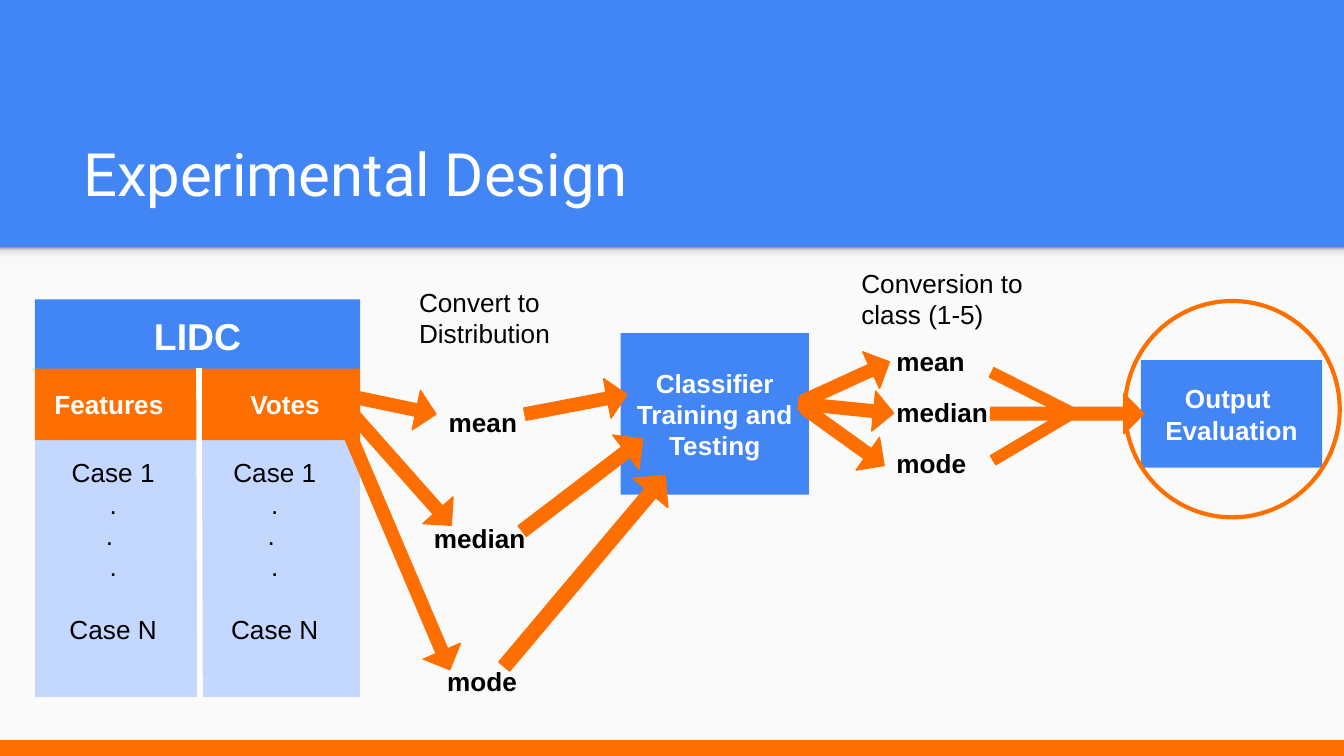
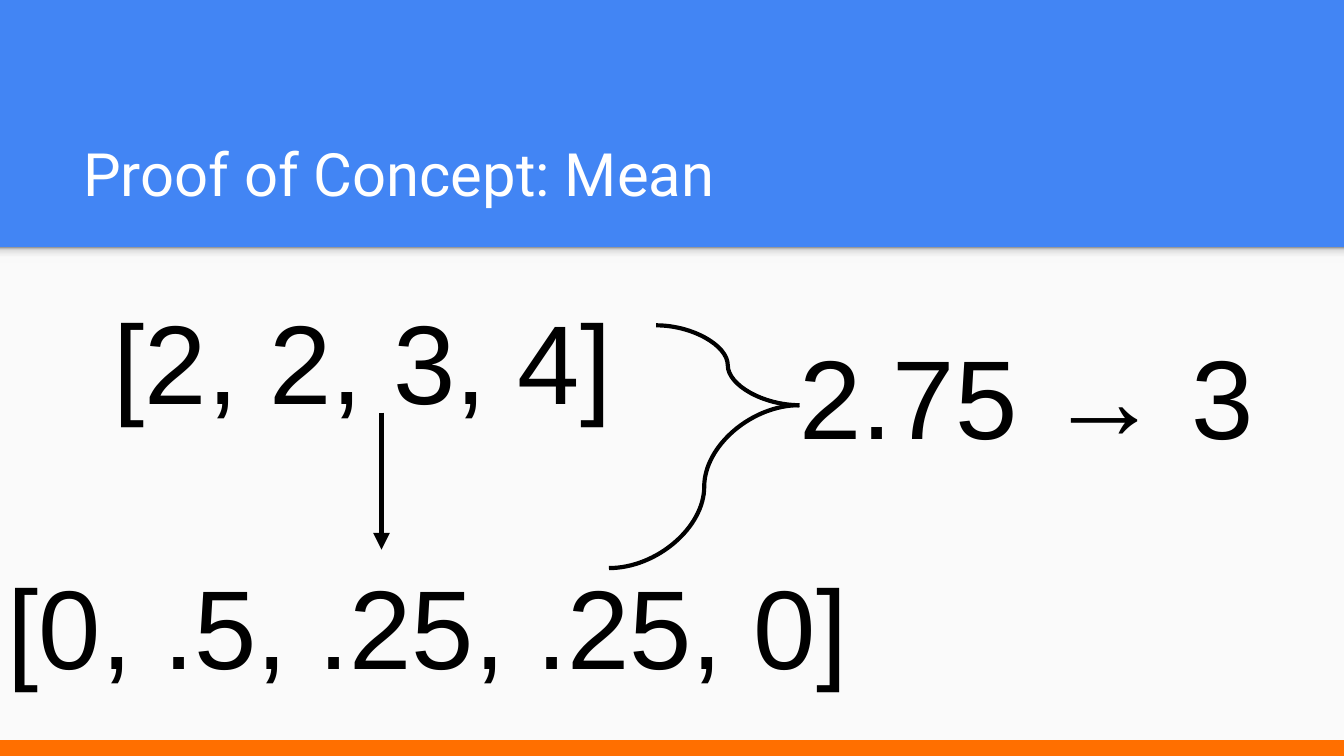
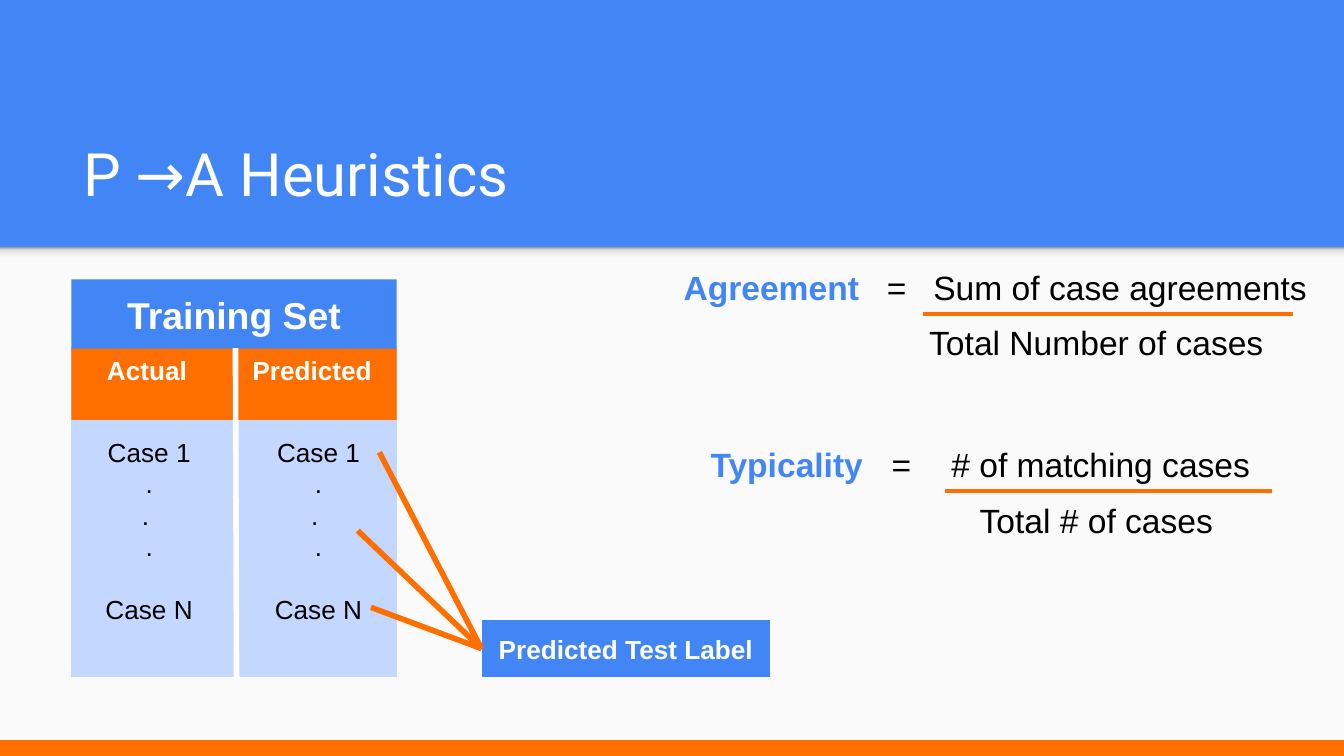
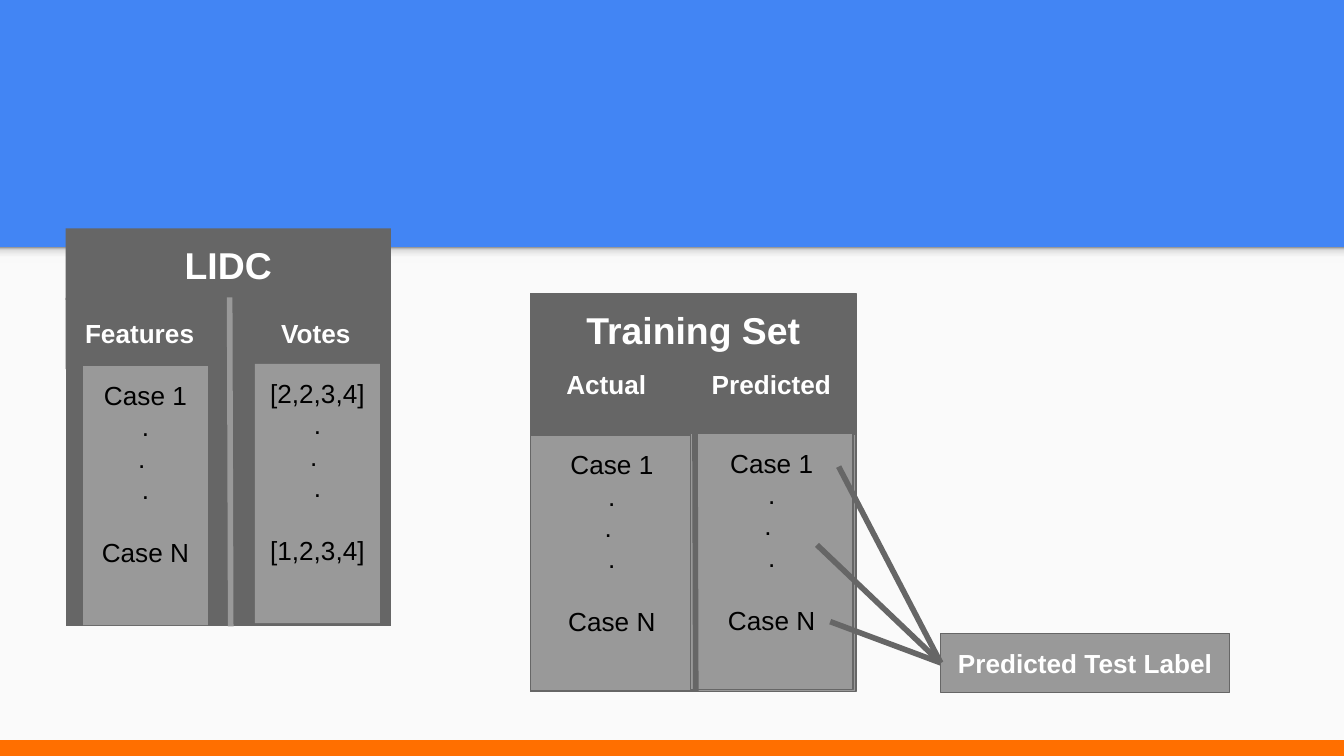
import math
from dataclasses import dataclass

from lxml import etree
from pptx import Presentation
from pptx import util as u
from pptx.dml import color
from pptx.enum import shapes, text
from pptx.oxml import ns

COLORS = {
    "blue": "4285F4",
    "pale_blue": "C4D7FF",
    "orange": "FF6F00",
    "paper": "FAFAFA",
    "white": "FFFFFF",
    "black": "000000",
    "dark_gray": "666666",
    "gray": "999999",
}
SHADOW_STOPS = [(0, "F9F9F9"), (36, "F9F9F9"), (80, "DEDEDE"), (100, "999999")]
SLIDE_WIDTH, SLIDE_HEIGHT = 25.4, 14.29
INSET = 0.25
TITLE_ONLY, BLANK = 5, 6
RECTANGLE = shapes.MSO_SHAPE.RECTANGLE
LEFT, CENTER = text.PP_ALIGN.LEFT, text.PP_ALIGN.CENTER
TOP, MIDDLE, BOTTOM = text.MSO_ANCHOR.TOP, text.MSO_ANCHOR.MIDDLE, text.MSO_ANCHOR.BOTTOM

COLOR_PANEL = {"title": "blue", "header": "orange", "body": "pale_blue",
               "column": None, "divider": "white", "outline": None}
GRAY_PANEL = {"title": "dark_gray", "header": "dark_gray", "body": "dark_gray",
              "column": "gray", "divider": "gray", "outline": None}
OUTLINED_PANEL = {"title": "dark_gray", "header": "dark_gray", "body": "gray",
                  "column": "gray", "divider": "dark_gray", "outline": "dark_gray"}
VOTE_TABS = (1.4, 4.73)
PREDICTION_TABS = (1.43, 4.55)


def rgb(name):
    return color.RGBColor.from_string(COLORS[name])


def paint(shape, fill, outline, weight):
    shape.shadow.inherit = False
    if fill:
        shape.fill.solid()
        shape.fill.fore_color.rgb = rgb(fill)
    else:
        shape.fill.background()
    if outline:
        shape.line.color.rgb = rgb(outline)
        shape.line.width = u.Pt(weight)
    else:
        shape.line.fill.background()


def set_frame(frame, anchor):
    frame.word_wrap = True
    frame.auto_size = text.MSO_AUTO_SIZE.NONE
    frame.vertical_anchor = anchor
    frame.margin_left = frame.margin_right = u.Cm(INSET)
    frame.margin_top = frame.margin_bottom = u.Cm(INSET)


def set_font(font, size, name="Arial", tint="black", bold=False):
    font.name, font.size, font.bold = name, u.Pt(size), bold
    font.color.rgb = rgb(tint)


def set_tabs(paragraph, stops):
    tab_list = etree.Element(ns.qn("a:tabLst"))
    for position, kind in stops:
        etree.SubElement(tab_list, ns.qn("a:tab"), pos=str(u.Cm(position)), algn=kind)
    properties = paragraph._p.get_or_add_pPr()
    defaults = properties.find(ns.qn("a:defRPr"))
    if defaults is None:
        properties.append(tab_list)
    else:
        defaults.addprevious(tab_list)


@dataclass
class Region:
    canvas: object
    left: float = 0
    top: float = 0

    def at(self, x, y):
        return u.Cm(self.left + x), u.Cm(self.top + y)

    def box(self, left, top, width, height, lines=(), fill=None, outline=None,
            weight=0.75, kind=RECTANGLE, size=14, tint="white", bold=True,
            align=CENTER, anchor=MIDDLE):
        frame_box = (*self.at(left, top), u.Cm(width), u.Cm(height))
        if kind is None:
            shape = self.canvas.add_textbox(*frame_box)
        else:
            shape = self.canvas.add_shape(kind, *frame_box)
            paint(shape, fill, outline, weight)
        if lines:
            frame = shape.text_frame
            set_frame(frame, anchor)
            for index, line in enumerate(lines):
                paragraph = frame.add_paragraph() if index else frame.paragraphs[0]
                paragraph.text = line
                paragraph.alignment = align
                set_font(paragraph.font, size, tint=tint, bold=bold)
        return shape

    def label(self, left, top, width, height, wording, size=14, bold=False):
        return self.box(left, top, width, height, [wording], kind=None, size=size,
                        tint="black", bold=bold, align=LEFT, anchor=TOP)

    def line(self, start, end, tint, weight=3, kind=shapes.MSO_CONNECTOR.STRAIGHT):
        connector = self.canvas.add_connector(kind, *self.at(*start), *self.at(*end))
        connector.line.color.rgb = rgb(tint)
        connector.line.width = u.Pt(weight)
        etree.SubElement(connector._element.spPr, ns.qn("a:effectLst"))
        return connector

    def bar(self, start, end, thickness, kind=RECTANGLE):
        run, rise = end[0] - start[0], end[1] - start[1]
        length = math.hypot(run, rise)
        shape = self.box((start[0] + end[0] - length) / 2,
                         (start[1] + end[1] - thickness) / 2,
                         length, thickness, fill="orange", outline="orange", kind=kind)
        shape.rotation = math.degrees(math.atan2(rise, run))
        return shape

    def arrow(self, start, end, thickness=0.76):
        shape = self.bar(start, end, thickness, shapes.MSO_SHAPE.RIGHT_ARROW)
        shape.adjustments[0] = 0.31


def add_bands(slide):
    page = Region(slide.shapes)
    page.box(0, 4.67, SLIDE_WIDTH, SLIDE_HEIGHT - 4.67, fill="paper")
    shadow = page.box(0, 4.67, SLIDE_WIDTH, 0.3)
    shadow.fill.gradient()
    shadow.fill.gradient_angle = 90
    stop_list = shadow._element.spPr.find(".//" + ns.qn("a:gsLst"))
    for stop in list(stop_list):
        stop_list.remove(stop)
    for percent, tint in SHADOW_STOPS:
        stop = etree.SubElement(stop_list, ns.qn("a:gs"), pos=str(percent * 1000))
        etree.SubElement(stop, ns.qn("a:srgbClr"), val=tint)
    page.box(0, 14, SLIDE_WIDTH, 0.29, fill="orange", outline="orange")


def add_slide(presentation, title=None):
    layout = presentation.slide_layouts[TITLE_ONLY if title else BLANK]
    slide = presentation.slides.add_slide(layout)
    add_bands(slide)
    if title:
        heading = slide.shapes.title
        heading.left, heading.top = u.Cm(1.32), u.Cm(2.06)
        heading.width, heading.height = u.Cm(22.83), u.Cm(2.13)
        set_frame(heading.text_frame, BOTTOM)
        paragraph = heading.text_frame.paragraphs[0]
        paragraph.text = title
        paragraph.alignment = LEFT
        set_font(paragraph.font, 32, name="Roboto", tint="white")
    return slide


def data_panel(region, title, headings, tabs, columns, style, header_anchor=MIDDLE):
    width, outline = 6.15, style["outline"]
    region.box(0, 1.27, width, 6.25, fill=style["body"], outline=outline,
               kind=shapes.MSO_SHAPE.FLOWCHART_PROCESS)
    region.box(0, 0, width, 1.35, [title], fill=style["title"], outline=outline, size=20)
    header = region.box(0, 1.31, width, 1.35, ["".join("\t" + word for word in headings)],
                        fill=style["header"], outline=outline, align=LEFT,
                        anchor=header_anchor)
    header.text_frame.margin_left = 0
    if header_anchor == TOP:
        header.text_frame.margin_top = u.Cm(0.1)
    set_tabs(header.text_frame.paragraphs[0], [(stop, "ctr") for stop in tabs])
    for place, first, last in columns:
        column = region.box(*place, [first, ".", ". ", ".", last], fill=style["column"],
                            outline=outline, kind=RECTANGLE if style["column"] else None,
                            tint="black", bold=False, anchor=TOP)
        column.text_frame.paragraphs[-1].space_before = u.Pt(17)
    region.line((3.1, 1.3), (3.12, 7.52), style["divider"])


def prediction_fan(region, fill, outline, tint):
    label = region.box(7.75, 6.42, 5.46, 1.12, ["Predicted Test Label"],
                       fill=fill, outline=outline)
    for start in [(5.82, 3.27), (5.66, 6.2), (5.41, 4.75)]:
        region.line(start, (7.75, 6.98), tint).end_connect(label, 1)


def classifier(region):
    region.box(0, 0, 3.56, 3.05, ["Classifier", "Training and", "Testing"], fill="blue")


def distribution_stage(region):
    region.label(1.27, 0.06, 3.43, 1.65, "Convert to Distribution")
    for word, left, top in [("mean", 1.83, 2.34), ("median", 1.55, 4.53), ("mode", 1.8, 7.22)]:
        region.label(left, top, 2.49, 1.17, word, bold=True)
    for start, end in [((0.07, 2.36), (1.84, 2.73)), ((0.11, 2.55), (2.13, 4.83)),
                       ((0.06, 2.76), (2.1, 7.56)), ((3.52, 2.73), (5.45, 2.36))]:
        region.arrow(start, end)
    region.arrow((3.13, 7.5), (6.17, 3.89), 0.86)
    region.arrow((3.47, 4.94), (5.75, 3.2), 0.81)


def conversion_stage(region):
    region.label(1.03, 0, 3.78, 1.22, "Conversion to class (1-5)")
    for index, word in enumerate(["mean", "median", "mode"]):
        region.label(1.69, 1.47 + 0.97 * index, 2.49, 1.17, word, bold=True)
    region.bar((3.74, 2.24), (5.35, 3.05), 0.2)
    region.bar((3.77, 3.9), (5.27, 3.01), 0.2)
    for start, end in [((0.17, 2.79), (1.81, 2.04)), ((0.09, 2.83), (1.89, 3.01)),
                       ((0.19, 2.91), (1.71, 4)), ((3.72, 3.02), (6.62, 3.02))]:
        region.arrow(start, end)


def evaluation(region):
    region.box(0.3, 1.12, 3.43, 2.03, ["Output ", "Evaluation"], fill="blue")
    region.box(0, 0, 4.06, 4.09, outline="orange", weight=2.25,
               kind=shapes.MSO_SHAPE.OVAL)


def formula(region, term, numerator, denominator, tabs, center, rule):
    frame = region.label(0, 0, 12.6, 3, "").text_frame
    top = frame.paragraphs[0]
    set_font(top.font, 18)
    name = top.add_run()
    name.text = term
    set_font(name.font, 18, tint="blue", bold=True)
    top.add_run().text = f"\t=\t{numerator}"
    set_tabs(top, [(stop, "l") for stop in tabs])
    bottom = frame.add_paragraph()
    bottom.text = f"\t{denominator}"
    bottom.space_before = u.Pt(8)
    set_font(bottom.font, 18)
    set_tabs(bottom, [(center, "ctr")])
    region.line((rule[0], 1.13), (rule[1], 1.13), "orange", 2.25)


def design_slide(presentation):
    canvas = add_slide(presentation, "Experimental Design").shapes
    data_panel(Region(canvas, 0.66, 5.66), "LIDC", ("Features", "Votes"), VOTE_TABS,
               [((0.3, 2.72, 2.36, 4.9), "Case 1", "Case N"),
                ((3.43, 2.72, 2.21, 4.9), "Case 1", "Case N")], COLOR_PANEL)
    classifier(Region(canvas, 11.73, 6.3))
    distribution_stage(Region(canvas, 6.4, 5.1))
    evaluation(Region(canvas, 21.26, 5.69))
    conversion_stage(Region(canvas, 15, 4.8))


def mean_slide(presentation):
    region = Region(add_slide(presentation, "Proof of Concept: Mean").shapes)
    for left, top, width, wording in [(1.9, 5.28, 10.46, "[2, 2, 3, 4]"),
                                      (-0.1, 10.29, 16.81, "[0, .5, .25, .25, 0]"),
                                      (14.86, 5.94, 10.54, "2.75 → 3")]:
        region.label(left, top, width, 1.7, wording, size=60)
    for start in [(12.4, 6.15), (11.51, 10.74)]:
        region.line(start, (15.11, 7.66), "black", 2.25, shapes.MSO_CONNECTOR.CURVE)
    pointer = region.line((7.21, 7.8), (7.21, 10.39), "black")
    etree.SubElement(pointer.line._get_or_add_ln(), ns.qn("a:tailEnd"), type="triangle")


def heuristics_slide(presentation):
    canvas = add_slide(presentation, "P →A Heuristics").shapes
    training = Region(canvas, 1.35, 5.28)
    data_panel(training, "Training Set", ("Actual", "Predicted"), PREDICTION_TABS,
               [((-0.13, 2.72, 3.2, 4.9), "Case 1", "Case N"),
                ((3.3, 2.72, 2.74, 4.9), "Case 1", "Case N")], COLOR_PANEL, TOP)
    prediction_fan(training, "blue", "white", "orange")
    formula(Region(canvas, 12.67, 4.8), "Agreement", "Sum of case agreements",
            "Total Number of cases", (3.84, 4.72), 7.8, (4.78, 11.76))
    formula(Region(canvas, 13.18, 8.15), "Typicality", "# of matching cases",
            "Total # of cases", (3.42, 4.55), 7.29, (4.67, 10.85))


def comparison_slide(presentation):
    slide = add_slide(presentation)
    votes = Region(slide.shapes.add_group_shape().shapes, 1.24, 4.32)
    data_panel(votes, "LIDC", ("Features", "Votes"), VOTE_TABS,
               [((0.33, 2.6, 2.36, 4.9), "Case 1", "Case N"),
                ((3.58, 2.56, 2.36, 4.9), "[2,2,3,4]", "[1,2,3,4]")], GRAY_PANEL)
    training = Region(slide.shapes.add_group_shape().shapes, 10.03, 5.55)
    data_panel(training, "Training Set", ("Actual", "Predicted"), PREDICTION_TABS,
               [((0, 2.68, 3.07, 4.83), "Case 1", "Case N"),
                ((3.02, 2.65, 3.07, 4.83), "Case 1", "Case N")], OUTLINED_PANEL, TOP)
    prediction_fan(training, "gray", "dark_gray", "dark_gray")


def main():
    presentation = Presentation()
    presentation.slide_width = u.Cm(SLIDE_WIDTH)
    presentation.slide_height = u.Cm(SLIDE_HEIGHT)
    background = presentation.slide_master.background.fill
    background.solid()
    background.fore_color.rgb = rgb("blue")
    design_slide(presentation)
    mean_slide(presentation)
    heuristics_slide(presentation)
    comparison_slide(presentation)
    presentation.save("out.pptx")


if __name__ == "__main__":
    main()
